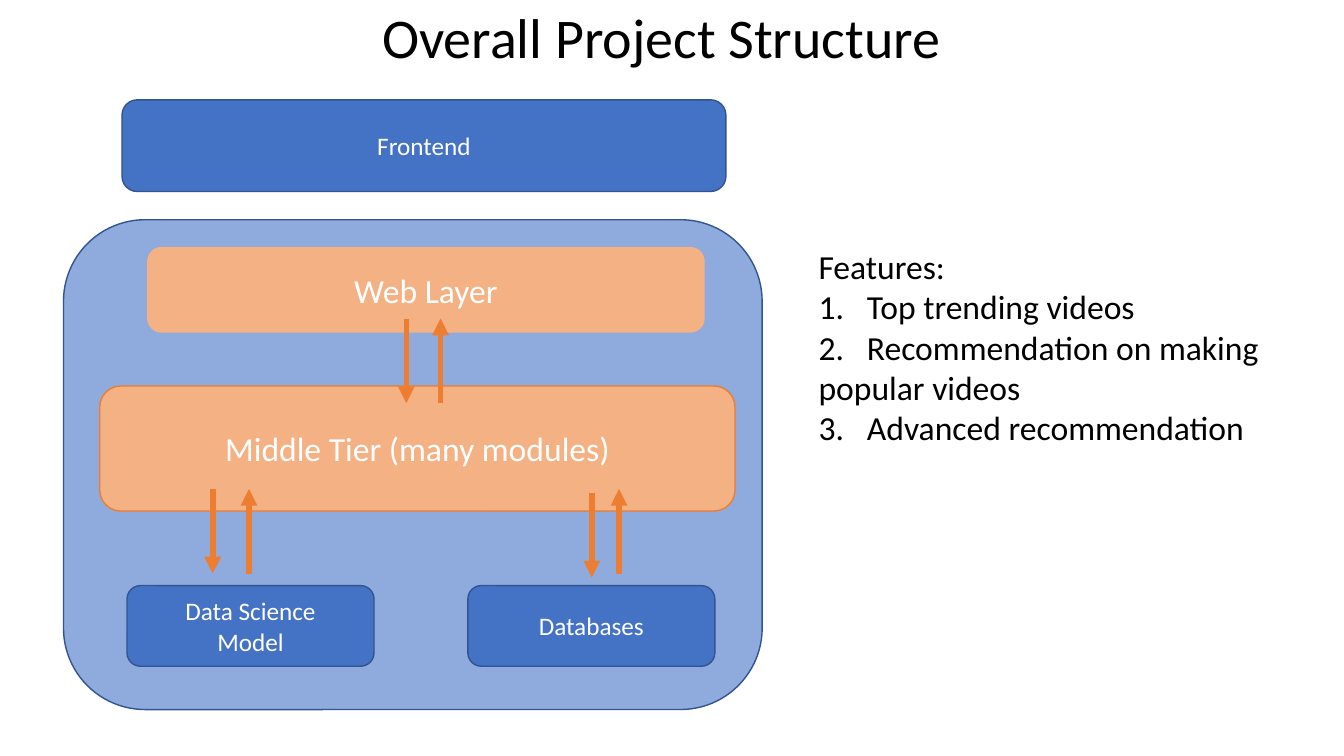
from lxml.etree import SubElement
from pptx import Presentation
from pptx.dml.color import RGBColor
from pptx.enum.shapes import MSO_CONNECTOR as CONNECTOR, MSO_SHAPE as SHAPE
from pptx.enum.text import MSO_ANCHOR as ANCHOR, MSO_AUTO_SIZE as AUTO_SIZE, PP_ALIGN as ALIGN
from pptx.oxml.ns import qn
from pptx.util import Inches, Pt

BLUE = RGBColor(0x44, 0x72, 0xC4)
LIGHT_BLUE = RGBColor(0x8F, 0xAA, 0xDC)
DARK_BLUE = RGBColor(0x32, 0x54, 0x91)
PEACH = RGBColor(0xF4, 0xB1, 0x83)
ORANGE = RGBColor(0xED, 0x7D, 0x31)
WHITE = RGBColor(0xFF, 0xFF, 0xFF)
BLACK = RGBColor(0, 0, 0)

TITLE = "Overall Project Structure"
BOXES = [
    ((1.21, 0.99, 5.99, 0.91), BLUE, DARK_BLUE, 18, ["Frontend"]),
    ((0.63, 2.18, 6.93, 4.86), LIGHT_BLUE, DARK_BLUE, 18, []),
    ((1.46, 2.45, 5.53, 0.85), PEACH, None, 24, ["Web Layer"]),
    ((4.64, 5.81, 2.45, 0.8), BLUE, DARK_BLUE, 18, ["Databases"]),
    ((1.26, 5.81, 2.45, 0.8), BLUE, DARK_BLUE, 18, ["Data Science", "Model"]),
    ((0.99, 3.83, 6.3, 1.24), PEACH, ORANGE, 24, ["Middle Tier (many modules)"]),
]
ARROW_LENGTH = 0.84
ARROWS = [
    (2.11, 4.85, "down"),
    (5.87, 4.89, "down"),
    (4.03, 3.16, "down"),
    (4.37, 3.16, "up"),
    (2.47, 4.85, "up"),
    (6.14, 4.85, "up"),
]
FEATURES = [
    (None, "Features:"),
    (1, "Top trending videos"),
    (2, "Recommendation on making"),
    (None, "popular videos"),
    (3, "Advanced recommendation"),
]
NUMBER_INDENT = Inches(0.48)


def write_paragraph(frame, index, text, size, color, align):
    paragraph = frame.paragraphs[0] if index == 0 else frame.add_paragraph()
    paragraph.text = text
    paragraph.alignment = align
    font = paragraph.runs[0].font
    for name, value in {"name": "Calibri", "size": Pt(size)}.items():
        setattr(font, name, value)
    font.color.rgb = color
    return paragraph


def add_box(slide, place, fill, outline, size, lines):
    shape = slide.shapes.add_shape(SHAPE.ROUNDED_RECTANGLE, *map(Inches, place))
    shape.shadow.inherit = False
    shape.fill.solid()
    shape.fill.fore_color.rgb = fill
    if outline is None:
        shape.line.fill.background()
    else:
        shape.line.color.rgb = outline
        shape.line.width = Pt(1)
    shape.text_frame.vertical_anchor = ANCHOR.MIDDLE
    for index, text in enumerate(lines):
        write_paragraph(shape.text_frame, index, text, size, WHITE, ALIGN.CENTER)


def add_arrow(slide, x, top, direction):
    start, end = top, top + ARROW_LENGTH
    if direction == "up":
        start, end = end, start
    arrow = slide.shapes.add_connector(
        CONNECTOR.STRAIGHT, Inches(x), Inches(start), Inches(x), Inches(end))
    arrow.line.color.rgb = ORANGE
    arrow.line.width = Pt(4)
    SubElement(arrow.line._get_or_add_ln(), qn("a:tailEnd"), type="triangle")
    SubElement(arrow._element.spPr, qn("a:effectLst"))


def add_title(slide):
    box = slide.shapes.add_textbox(Inches(1.56), 0, Inches(10), Inches(0.75))
    frame = box.text_frame
    frame.word_wrap = True
    frame.vertical_anchor = ANCHOR.BOTTOM
    paragraph = write_paragraph(frame, 0, TITLE, 40, BLACK, ALIGN.CENTER)
    paragraph.line_spacing = 0.9


def add_features(slide):
    box = slide.shapes.add_textbox(*map(Inches, (8.02, 2.39, 4.68, 2.12)))
    frame = box.text_frame
    frame.word_wrap = False
    frame.auto_size = AUTO_SIZE.SHAPE_TO_FIT_TEXT
    for index, (number, text) in enumerate(FEATURES):
        paragraph = write_paragraph(frame, index, text, 24, BLACK, ALIGN.LEFT)
        if number is not None:
            properties = paragraph._p.get_or_add_pPr()
            properties.set("marL", str(NUMBER_INDENT))
            properties.set("indent", str(-NUMBER_INDENT))
            SubElement(properties, qn("a:buFont"), typeface="Calibri")
            SubElement(properties, qn("a:buAutoNum"), type="arabicPeriod", startAt=str(number))


def main():
    presentation = Presentation()
    presentation.slide_width = Inches(13.33)
    presentation.slide_height = Inches(7.5)
    slide = presentation.slides.add_slide(presentation.slide_layouts[6])
    add_title(slide)
    for box in BOXES:
        add_box(slide, *box)
    for arrow in ARROWS:
        add_arrow(slide, *arrow)
    add_features(slide)
    presentation.save("out.pptx")


if __name__ == "__main__":
    main()
